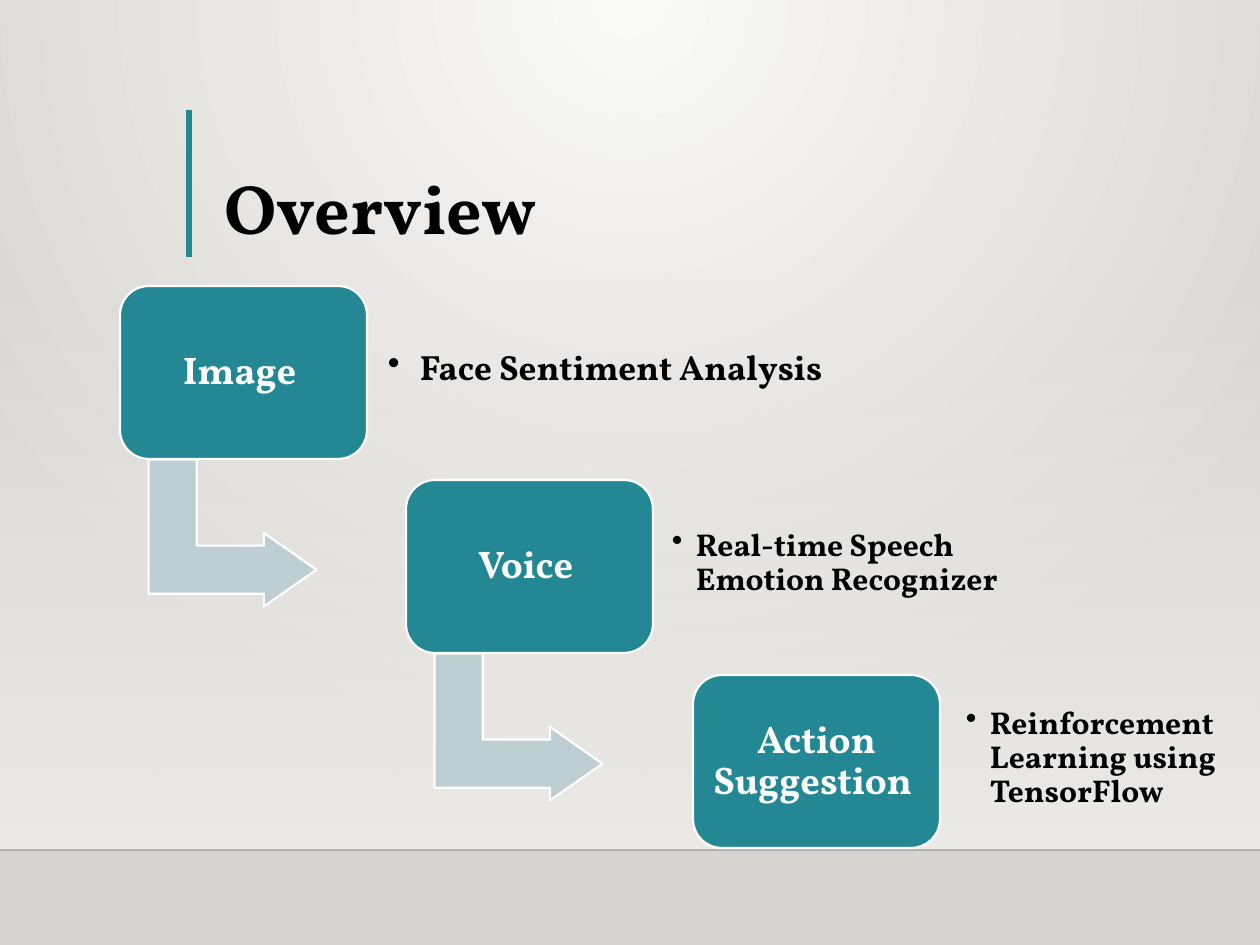
from lxml import etree
from pptx import Presentation
from pptx.dml.color import RGBColor
from pptx.enum.shapes import MSO_CONNECTOR, MSO_SHAPE
from pptx.enum.text import MSO_ANCHOR, PP_ALIGN
from pptx.oxml import parse_xml
from pptx.oxml.ns import nsdecls, qn
from pptx.util import Pt

STRAIGHT = MSO_CONNECTOR.STRAIGHT
RECTANGLE, ROUNDED = MSO_SHAPE.RECTANGLE, MSO_SHAPE.ROUNDED_RECTANGLE
BENT_ARROW = MSO_SHAPE.BENT_UP_ARROW
MIDDLE, BOTTOM = MSO_ANCHOR.MIDDLE, MSO_ANCHOR.BOTTOM
LEFT, CENTER = PP_ALIGN.LEFT, PP_ALIGN.CENTER

FONT = "Vollkorn"
COLORS = {
    "teal": "238894", "arrow": "BDCFD2", "white": "FFFFFF", "black": "000000",
    "rule": "000001", "glow": "FAFAF9", "edge": "D7D5D2", "wall": "EDEBE7",
}
TITLE = "Overview"
STEPS = [
    {"name": "Image\u00a0", "detail": "Face Sentiment Analysis",
     "left": 378, "width": 519, "inset": 10, "size": 20, "indent": 32},
    {"name": "Voice\u00a0", "detail": "Real-time Speech Emotion Recognizer",
     "left": 663, "width": 345, "inset": 9, "size": 18, "indent": 24},
    {"name": "Action Suggestion\u00a0", "detail": "Reinforcement Learning using TensorFlow",
     "left": 953, "width": 330, "inset": 13, "size": 18, "indent": 24},
]
BOX_LEFT, BOX_TOP, BOX_WIDTH, BOX_HEIGHT = 120, 286, 247, 173
TWO_STEPS_RIGHT, TWO_STEPS_DOWN = 573, 389
SCALE = 914400 // 126


def px(*lengths):
    return [length * SCALE for length in lengths]


def color(name):
    return RGBColor.from_string(COLORS[name])


def set_gradient(fill, owner, stops, direction):
    fill.background()
    stop_xml = "".join(
        f'<a:gs pos="{position}"><a:srgbClr val="{COLORS[name]}">'
        f'<a:alpha val="{alpha}"/></a:srgbClr></a:gs>'
        for position, name, alpha in stops)
    gradient = parse_xml(
        f'<a:gradFill {nsdecls("a")} rotWithShape="1"><a:gsLst>{stop_xml}</a:gsLst>'
        f'{direction}</a:gradFill>')
    owner.replace(owner.find(qn("a:noFill")), gradient)


def write(shape, text, size, name, anchor=MIDDLE, align=LEFT, insets=None, indent=0):
    frame = shape.text_frame
    frame.word_wrap = True
    frame.vertical_anchor = anchor
    if insets is not None:
        (inset,) = px(insets)
        frame.margin_left = frame.margin_right = inset
        frame.margin_top = frame.margin_bottom = inset
    paragraph = frame.paragraphs[0]
    paragraph.alignment = align
    paragraph.line_spacing = 0.9
    run = paragraph.add_run()
    run.text = text
    run.font.name = FONT
    run.font.size = Pt(size)
    run.font.bold = True
    run.font.color.rgb = color(name)
    if indent:
        properties = paragraph._p.get_or_add_pPr()
        properties.set("marL", str(indent * SCALE))
        properties.set("indent", str(-indent * SCALE))
        etree.SubElement(properties, qn("a:buChar")).set("char", "•")


def add_rule(start_x, start_y, end_x, end_y, name, width):
    rule = slide.shapes.add_connector(STRAIGHT, *px(start_x, start_y, end_x, end_y))
    rule.line.color.rgb = color(name)
    rule.line.width = Pt(width)
    etree.SubElement(rule.element.spPr, qn("a:effectLst"))
    return rule


def add_block(kind, left, top, width, height, name):
    block = slide.shapes.add_shape(kind, *px(left, top, width, height))
    block.shadow.inherit = False
    block.fill.solid()
    block.fill.fore_color.rgb = color(name)
    block.line.color.rgb = color("white")
    block.line.width = Pt(1.25)
    return block


presentation = Presentation()
presentation.slide_width, presentation.slide_height = px(1260, 945)
slide = presentation.slides.add_slide(presentation.slide_layouts[5])

background_fill = slide.background.fill
set_gradient(
    background_fill, slide.element.find(".//" + qn("p:bgPr")),
    [(0, "glow", 100000), (100000, "edge", 100000)],
    '<a:path path="circle"><a:fillToRect l="43000" t="0" r="43000" b="100000"/></a:path>')

wall = slide.shapes.add_shape(RECTANGLE, *px(0, 277, 1260, 573))
wall.shadow.inherit = False
wall.line.fill.background()
set_gradient(
    wall.fill, wall.element.spPr,
    [(0, "wall", 0), (100000, "wall", 100000)], '<a:lin ang="5400000" scaled="0"/>')

floor_rule = add_rule(0, 850, 1260, 850, "rule", 1)
floor_color = floor_rule.element.spPr.find(".//" + qn("a:srgbClr"))
etree.SubElement(floor_color, qn("a:alpha")).set("val", "20000")
add_rule(189, 110, 189, 257, "teal", 3)

title = slide.shapes.title
title.left, title.top, title.width, title.height = px(212, 111, 893, 145)
write(title, TITLE, 40, "black", anchor=BOTTOM)
title.element.getparent().append(title.element)

for index, step in enumerate(STEPS):
    left = BOX_LEFT + index * TWO_STEPS_RIGHT // 2
    top = BOX_TOP + index * TWO_STEPS_DOWN // 2
    if index < len(STEPS) - 1:
        arrow = add_block(BENT_ARROW, left + 39, top + 163, 147, 168, "arrow")
        arrow.rotation = 90
        for position, value in enumerate((0.328, 0.25, 0.358)):
            arrow.adjustments[position] = value
    box = add_block(ROUNDED, left, top, BOX_WIDTH, BOX_HEIGHT, "teal")
    box.adjustments[0] = 0.167
    write(box, step["name"], 22, "white", align=CENTER, insets=11)
    detail = slide.shapes.add_textbox(*px(step["left"], top + 13, step["width"], 140))
    write(detail, step["detail"], step["size"], "black",
          insets=step["inset"], indent=step["indent"])

presentation.save("out.pptx")
